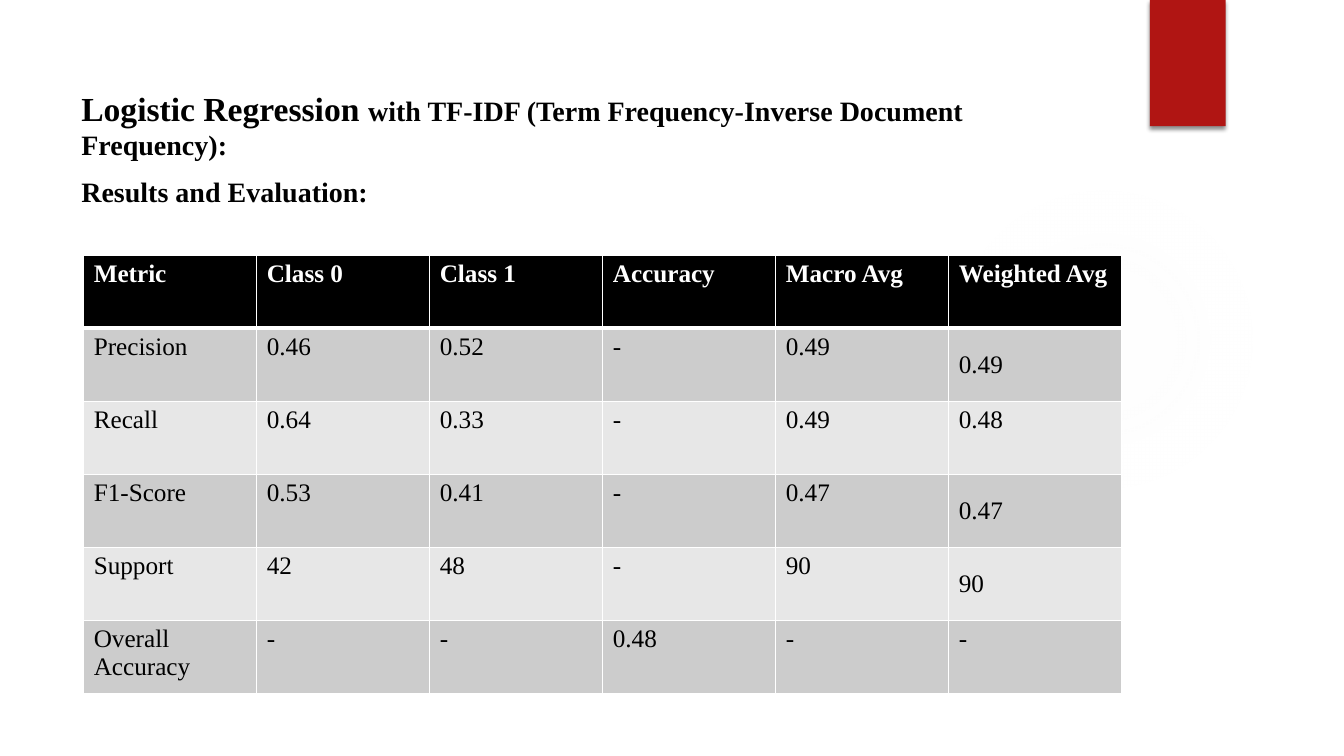
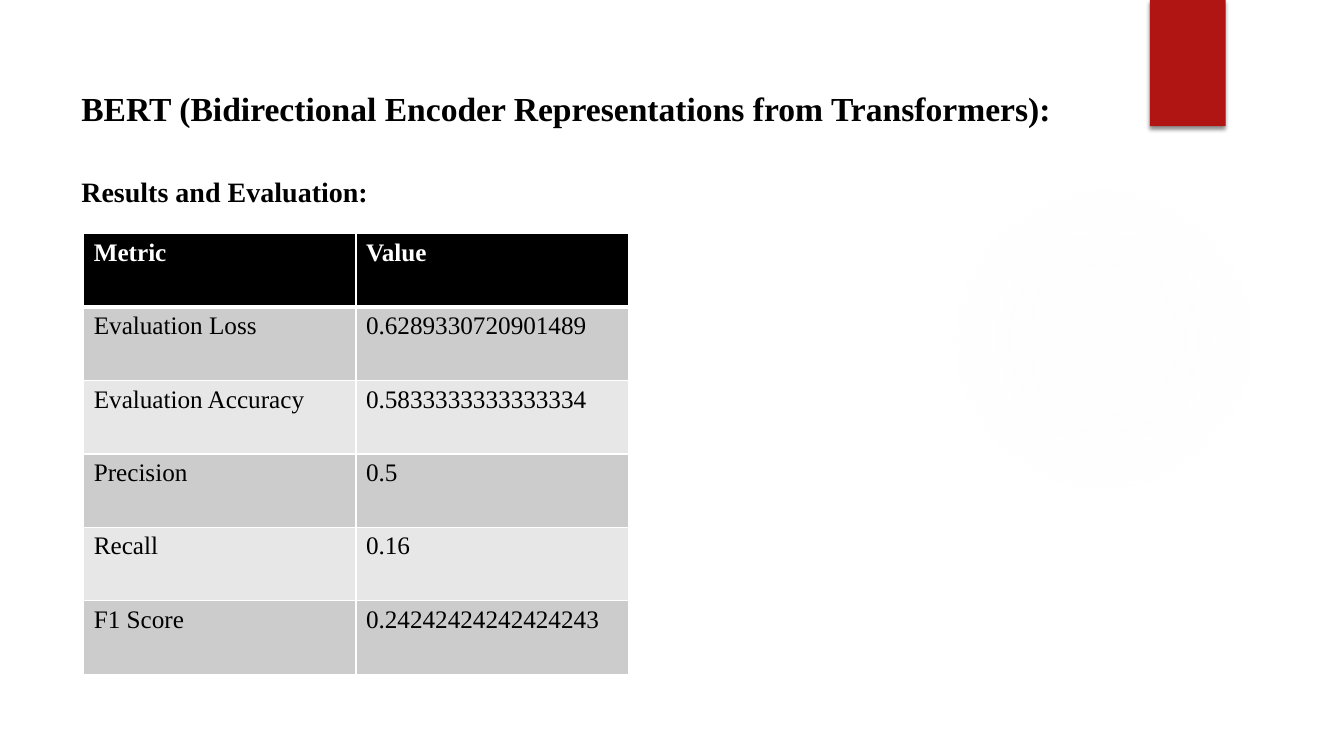
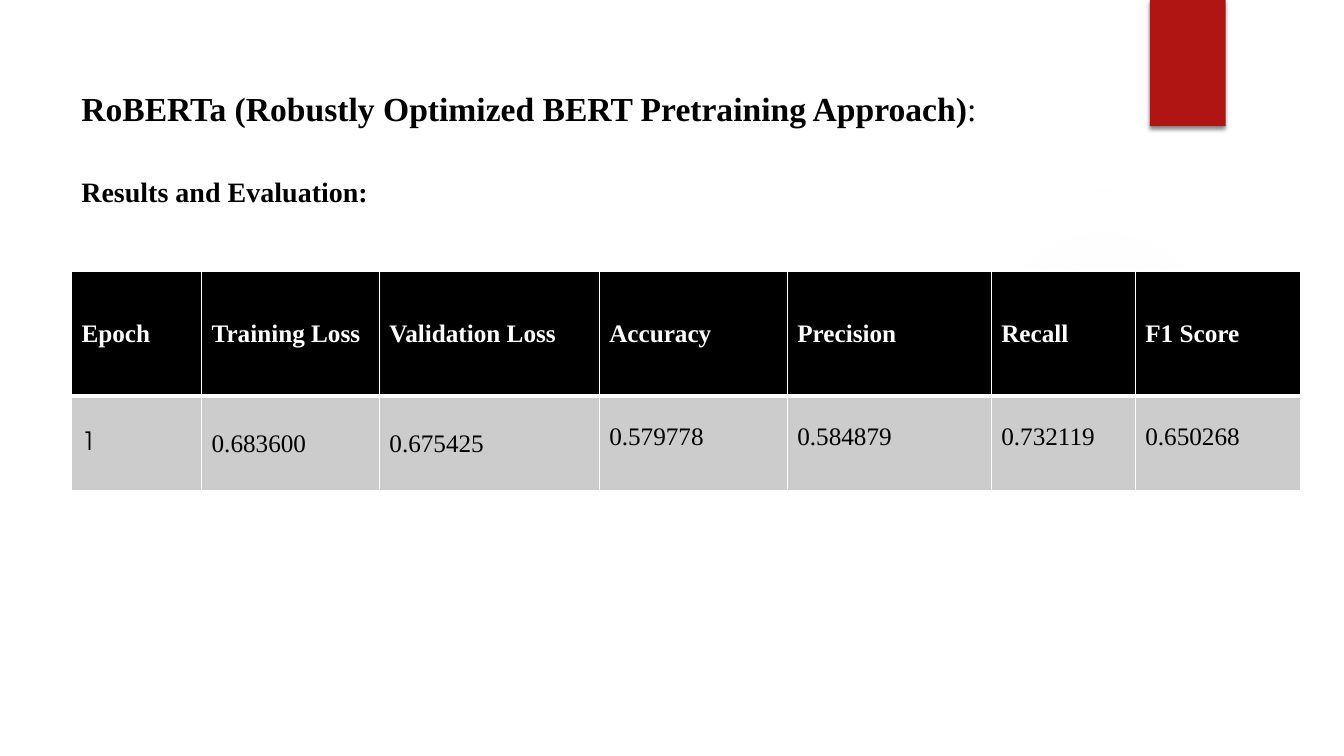
from dataclasses import dataclass

from lxml.etree import SubElement
from pptx import Presentation
from pptx.dml.color import RGBColor
from pptx.enum.shapes import MSO_SHAPE
from pptx.enum.text import MSO_ANCHOR
from pptx.oxml import parse_xml
from pptx.oxml.ns import nsdecls, qn
from pptx.util import Cm, Pt


@dataclass
class Theme:
    font: str = "Times New Roman"
    alt: str = "TeX Gyre Adventor"
    ink: str = "000000"
    paper: str = "FFFFFF"
    band: str = "B01513"
    glow: str = "F3F3F3"
    dark: str = "CCCCCC"
    light: str = "E7E7E7"
    title: int = 24
    head: int = 20
    cell: int = 18


theme = Theme()


def style(font, size, color, bold, face=theme.font):
    font.name = face
    font.size = Pt(size)
    font.bold = bold
    font.color.rgb = RGBColor.from_string(color)


def edge(cell, side, width):
    line = SubElement(cell._tc.get_or_add_tcPr(), qn(f"a:ln{side}"), w=str(Pt(width)))
    fill = SubElement(line, qn("a:solidFill"))
    SubElement(fill, qn("a:srgbClr"), val=theme.paper)


# Content: title runs are (text, size, bold); sizes are in centimetres
pages = [
    {
        "title": [
            ("Logistic Regression ", theme.title, True),
            ("with TF-IDF (Term Frequency-Inverse Document Frequency):", theme.head, True),
        ],
        "left": 2.11, "top": 6.43,
        "cols": [4.36] * 6,
        "rows": [1.84] * 6,
        "data": [
            ["Metric", "Class 0", "Class 1", "Accuracy", "Macro Avg", "Weighted Avg"],
            ["Precision", "0.46", "0.52", "-", "0.49", "0.49"],
            ["Recall", "0.64", "0.33", "-", "0.49", "0.48"],
            ["F1-Score", "0.53", "0.41", "-", "0.47", "0.47"],
            ["Support", "42", "48", "-", "90", "90"],
            ["Overall Accuracy", "-", "-", "0.48", "-", "-"],
        ],
        "middle": [(1, 5), (3, 5), (4, 5)],
    },
    {
        "title": [
            ("BERT (Bidirectional Encoder Representations from Transformers):", theme.title, True),
        ],
        "left": 2.11, "top": 5.89,
        "cols": [6.86] * 2,
        "rows": [1.85] * 6,
        "data": [
            ["Metric", "Value"],
            ["Evaluation Loss", "0.6289330720901489"],
            ["Evaluation Accuracy", "0.5833333333333334"],
            ["Precision", "0.5"],
            ["Recall", "0.16"],
            ["F1 Score", "0.24242424242424243"],
        ],
        "middle": [],
    },
    {
        "title": [
            ("RoBERTa (Robustly Optimized BERT Pretraining Approach)", theme.title, True),
            (":", theme.title, False),
        ],
        "left": 1.8, "top": 6.83,
        "cols": [3.28, 4.48, 5.54, 4.74, 5.14, 3.63, 4.17],
        "rows": [3.15, 2.39],
        "data": [
            ["Epoch", "Training Loss", "Validation Loss", "Accuracy",
             "Precision", "Recall", "F1 Score"],
            ["1", "0.683600", "0.675425", "0.579778", "0.584879", "0.732119", "0.650268"],
        ],
        "middle": [(0, c) for c in range(7)] + [(1, c) for c in range(3)],
        "inset": {(1, c): 0.68 for c in range(3, 7)},
        "faces": {(1, 0): theme.alt},
    },
]

deck = Presentation()
deck.slide_width, deck.slide_height = Cm(33.87), Cm(19.05)

for page in pages:
    slide = deck.slides.add_slide(deck.slide_layouts[6])
    shapes = slide.shapes

    # Soft glow
    glow = shapes.add_shape(MSO_SHAPE.OVAL, Cm(23.9), Cm(4.65), Cm(7.82), Cm(7.82))
    glow.shadow.inherit = False
    glow.line.fill.background()
    stops = "".join(
        f'<a:gs pos="{pos}000"><a:srgbClr val="{theme.glow}">'
        f'<a:alpha val="{alpha}000"/></a:srgbClr></a:gs>'
        for pos, alpha in [(0, 7), (36, 6), (69, 0)]
    )
    glow._element.spPr.insert(2, parse_xml(
        f'<a:gradFill {nsdecls("a")}><a:gsLst>{stops}</a:gsLst><a:path path="circle">'
        '<a:fillToRect l="50000" t="50000" r="50000" b="50000"/></a:path></a:gradFill>'
    ))

    # Red band with a small shadow
    band = shapes.add_shape(MSO_SHAPE.RECTANGLE, Cm(28.98), 0, Cm(1.91), Cm(3.18))
    band.fill.solid()
    band.fill.fore_color.rgb = RGBColor.from_string(theme.band)
    band.line.fill.background()
    band.shadow.inherit = False
    band._element.spPr.find(qn("a:effectLst")).append(parse_xml(
        f'<a:outerShdw {nsdecls("a")} blurRad="{Pt(3)}" dist="{Pt(2)}" dir="5400000" '
        f'rotWithShape="0"><a:srgbClr val="{theme.ink}"><a:alpha val="45000"/>'
        '</a:srgbClr></a:outerShdw>'
    ))

    # Title and heading
    heading = [("Results and Evaluation:", theme.head, True)]
    for top, height, runs in [(2.08, 3.07, page["title"]), (4.27, 1.2, heading)]:
        box = shapes.add_textbox(Cm(1.8), Cm(top), Cm(26.14), Cm(height))
        box.text_frame.word_wrap = True
        para = box.text_frame.paragraphs[0]
        for text, size, bold in runs:
            run = para.add_run()
            run.text = text
            style(run.font, size, theme.ink, bold)

    # Table
    cols, rows = page["cols"], page["rows"]
    grid = shapes.add_table(
        len(rows), len(cols), Cm(page["left"]), Cm(page["top"]), Cm(sum(cols)), Cm(sum(rows))
    ).table
    grid.horz_banding = False
    for col, width in zip(grid.columns, cols):
        col.width = Cm(width)
    for r, line in enumerate(page["data"]):
        grid.rows[r].height = Cm(rows[r])
        fill = theme.ink if r == 0 else theme.dark if r % 2 else theme.light
        for c, text in enumerate(line):
            cell = grid.cell(r, c)
            for side in "LRTB":
                edge(cell, side, 3 if (r, side) in [(0, "B"), (1, "T")] else 1)
            cell.fill.solid()
            cell.fill.fore_color.rgb = RGBColor.from_string(fill)
            cell.text = text
            style(cell.text_frame.paragraphs[0].font, theme.cell,
                  theme.ink if r else theme.paper, r == 0,
                  page.get("faces", {}).get((r, c), theme.font))
            if (r, c) in page["middle"]:
                cell.vertical_anchor = MSO_ANCHOR.MIDDLE
            if (r, c) in page.get("inset", {}):
                cell.margin_top = Cm(page["inset"][r, c])

deck.save("out.pptx")
